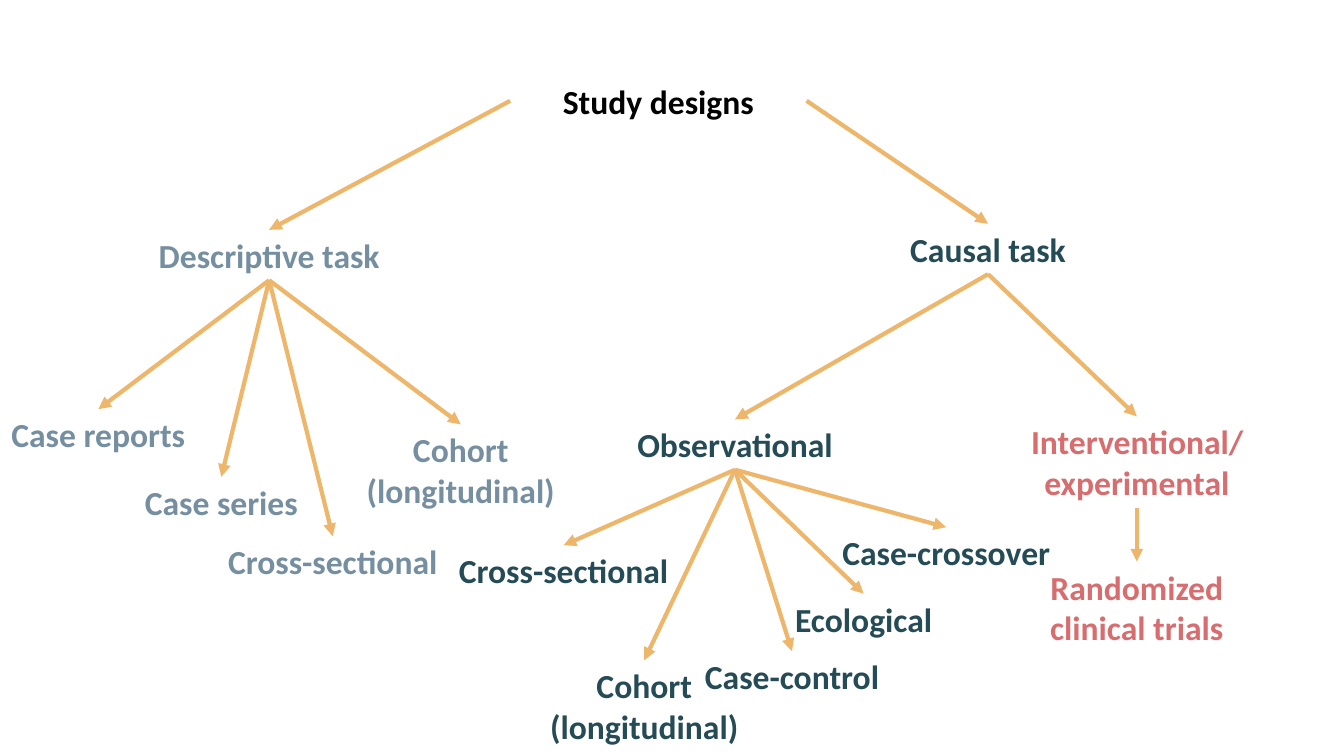
from lxml import etree
from pptx import Presentation
from pptx.dml.color import RGBColor
from pptx.enum.shapes import MSO_CONNECTOR
from pptx.enum.text import MSO_ANCHOR, MSO_AUTO_SIZE, PP_ALIGN
from pptx.oxml.ns import qn
from pptx.util import Inches, Pt

STRAIGHT = MSO_CONNECTOR.STRAIGHT
TOP = MSO_ANCHOR.TOP
FIT_SHAPE = MSO_AUTO_SIZE.SHAPE_TO_FIT_TEXT
CENTER = PP_ALIGN.CENTER

BLACK = RGBColor(0x00, 0x00, 0x00)
SLATE = RGBColor(0x75, 0x8F, 0xA1)
TEAL = RGBColor(0x25, 0x4B, 0x56)
CORAL = RGBColor(0xD7, 0x6D, 0x6F)
AMBER = RGBColor(0xEE, 0xB6, 0x6B)

ONE_LINE, TWO_LINES = 0.5, 0.91
COHORT = "Cohort\n(longitudinal)"

# Root of the tree: left, top, width
ROOT = (5.06, 0.75, 2.94)

# key: (text, left, top, width, height, colour, parent key)
DESIGNS = {
    "descriptive": ("Descriptive task", 1.2, 2.28, 2.94, ONE_LINE, SLATE, "root"),
    "causal": ("Causal task", 8.33, 2.22, 2.94, ONE_LINE, TEAL, "root"),
    "reports": ("Case reports", 0, 4.06, 1.95, ONE_LINE, SLATE, "descriptive"),
    "series": ("Case series", 1.22, 4.73, 1.95, ONE_LINE, SLATE, "descriptive"),
    "descriptive cross": ("Cross-sectional", 1.99, 5.32, 2.62, ONE_LINE, SLATE, "descriptive"),
    "descriptive cohort": (COHORT, 3.49, 4.21, 2.16, TWO_LINES, SLATE, "descriptive"),
    "observational": ("Observational", 5.82, 4.16, 2.94, ONE_LINE, TEAL, "causal"),
    "interventional": ("Interventional/experimental", 9.23, 4.13, 4.09, TWO_LINES, CORAL, "causal"),
    "causal cross": ("Cross-sectional", 4.35, 5.41, 2.48, ONE_LINE, TEAL, "observational"),
    "causal cohort": (COHORT, 5.13, 6.55, 2.52, TWO_LINES, TEAL, "observational"),
    "control": ("Case-control", 6.88, 6.46, 1.95, ONE_LINE, TEAL, "observational"),
    "ecological": ("Ecological", 7.59, 5.89, 1.95, ONE_LINE, TEAL, "observational"),
    "crossover": ("Case-crossover", 8.18, 5.23, 2.41, ONE_LINE, TEAL, "observational"),
    "trials": ("Randomized clinical trials", 10.3, 5.57, 1.95, TWO_LINES, CORAL, "interventional"),
}


def write_label(box, text, color):
    frame = box.text_frame
    frame.text = text
    frame.word_wrap = True
    frame.auto_size = FIT_SHAPE
    frame.vertical_anchor = TOP
    for para in frame.paragraphs:
        para.alignment = CENTER
        para.font.name = "Calibri"
        para.font.size = Pt(24)
        para.font.bold = True
        para.font.color.rgb = color


def add_arrow(page, start, end):
    points = [Inches(value) for value in (*start, *end)]
    arrow = page.shapes.add_connector(STRAIGHT, *points)
    arrow.line.color.rgb = AMBER
    arrow.line.width = Pt(3)
    etree.SubElement(arrow.line._get_or_add_ln(), qn("a:tailEnd"), type="triangle")
    etree.SubElement(arrow._element.spPr, qn("a:effectLst"))


deck = Presentation()
deck.slide_width = Inches(13.33)
deck.slide_height = Inches(7.5)
page = deck.slides.add_slide(deck.slide_layouts.get_by_name("Title Only"))

root_left, root_top, root_width = ROOT
title = page.shapes.title
title.left, title.top = Inches(root_left), Inches(root_top)
title.width, title.height = Inches(root_width), Inches(ONE_LINE)
write_label(title, "Study designs", BLACK)

for text, left, top, width, height, color, _ in DESIGNS.values():
    box = page.shapes.add_textbox(Inches(left), Inches(top), Inches(width), Inches(height))
    write_label(box, text, color)

# Arrows leave the sides of the root and the bottom centre of every other parent
for _, left, top, width, _, _, parent in DESIGNS.values():
    end = (left + width / 2, top)
    if parent == "root":
        side = root_left if end[0] < root_left else root_left + root_width
        start = (side, root_top + ONE_LINE / 2)
    else:
        _, parent_left, parent_top, parent_width, parent_height, _, _ = DESIGNS[parent]
        start = (parent_left + parent_width / 2, parent_top + parent_height)
    add_arrow(page, start, end)

deck.save("out.pptx")
